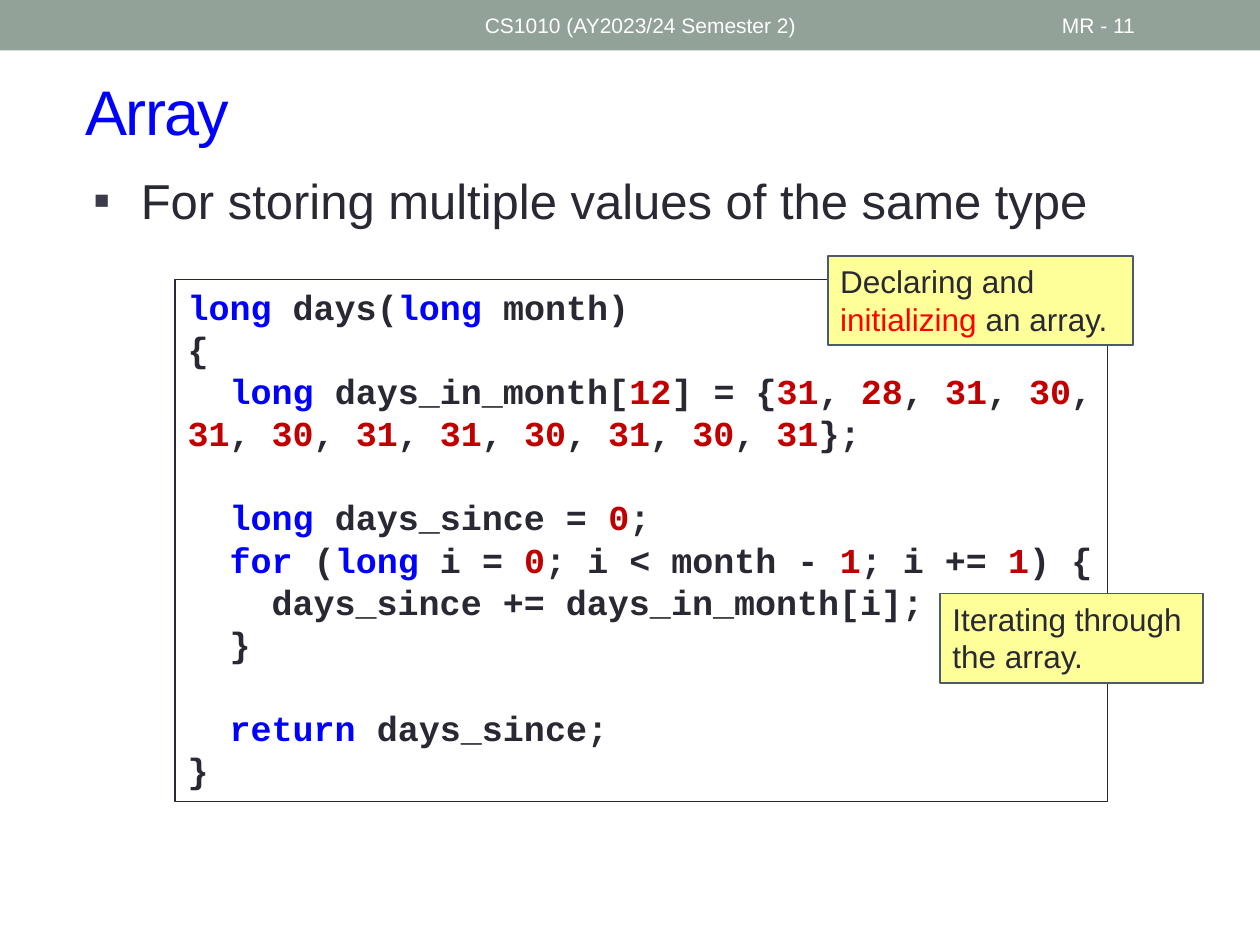
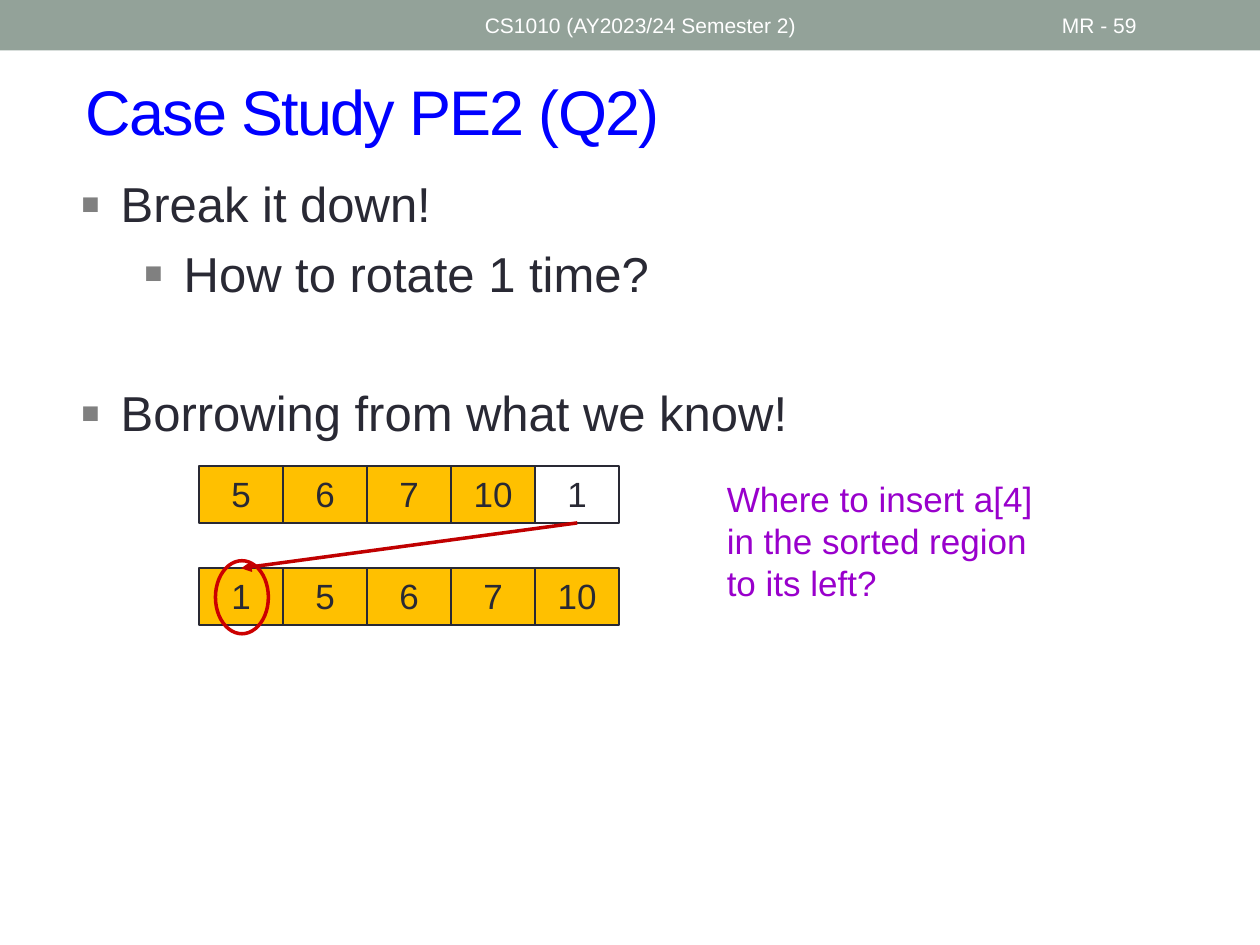
from itertools import groupby

from lxml.etree import SubElement
from pptx import Presentation
from pptx.dml.color import RGBColor
from pptx.enum.shapes import MSO_CONNECTOR, MSO_SHAPE
from pptx.enum.text import MSO_ANCHOR, PP_ALIGN
from pptx.oxml.ns import qn
from pptx.util import Emu, Inches, Pt

COLORS = {
    "band": "93A299", "white": "FFFFFF", "title": "0000FF", "ink": "292934",
    "keyword": "0000FF", "number": "C00000", "note": "FFFF99",
    "note_edge": "4C5A6A", "emphasis": "FF0000", "sorted": "FFC000",
    "ring": "CC0000", "arrow": "C00000", "question": "9900CC",
    "dark_bullet": "3B3B4B", "grey_bullet": "808080",
}
WIDTH, HEIGHT = Inches(10), Inches(7.5)
COLUMN, ROW = WIDTH / 100, HEIGHT / 75
KEYWORDS = {"long", "for", "return"}
CELL_WIDTH, CELL_HEIGHT, CELLS_LEFT = 6.67, 4.5, 15.8
DAYS_CODE = """long days(long month)
{
  long days_in_month[12] = {31, 28, 31, 30, 31, 30, 31, 31, 30, 31, 30, 31};

  long days_since = 0;
  for (long i = 0; i < month - 1; i += 1) {
    days_since += days_in_month[i];
  }

  return days_since;
}"""


def rgb(name):
    return RGBColor.from_string(COLORS[name])


def place(left, top, width, height):
    return (Emu(round(left * COLUMN)), Emu(round(top * ROW)),
            Emu(round(width * COLUMN)), Emu(round(height * ROW)))


def set_font(font, size, color, name="Arial", bold=False):
    font.size, font.name, font.bold = Pt(size), name, bold
    font.color.rgb = rgb(color)


def add_box(shapes, area, fill=None, edge=None, weight=1, kind=MSO_SHAPE.RECTANGLE):
    box = shapes.add_shape(kind, *place(*area))
    box.shadow.inherit = False
    if fill:
        box.fill.solid()
        box.fill.fore_color.rgb = rgb(fill)
    else:
        box.fill.background()
    if edge:
        box.line.color.rgb = rgb(edge)
        box.line.width = Pt(weight)
    else:
        box.line.fill.background()
    box.text_frame.word_wrap = True
    box.text_frame.vertical_anchor = MSO_ANCHOR.TOP
    return box


def add_text(slide, area, text, size, color, anchor=MSO_ANCHOR.TOP):
    frame = slide.shapes.add_textbox(*place(*area)).text_frame
    frame.word_wrap = True
    frame.vertical_anchor = anchor
    paragraph = frame.paragraphs[0]
    paragraph.text = text
    set_font(paragraph.font, size, color)
    return paragraph


def add_bullets(slide, area, items, indent, bullet_color, bullet_size=100):
    frame = slide.shapes.add_textbox(*place(*area)).text_frame
    frame.word_wrap = True
    for index, (text, level, gap) in enumerate(items):
        paragraph = frame.add_paragraph() if index else frame.paragraphs[0]
        paragraph.text = text
        paragraph.level = level
        paragraph.space_before = Pt(gap)
        properties = paragraph._p.get_or_add_pPr()
        properties.set("marL", str(Inches(indent + level * 0.5)))
        properties.set("indent", str(-Inches(indent)))
        color = SubElement(properties, qn("a:buClr"))
        SubElement(color, qn("a:srgbClr"), val=COLORS[bullet_color])
        SubElement(properties, qn("a:buSzPct"), val=str(bullet_size * 1000))
        SubElement(properties, qn("a:buFont"), typeface="Arial")
        SubElement(properties, qn("a:buChar"), char="▪")
        set_font(paragraph.font, 28, "ink")


def token_color(token):
    if token in KEYWORDS:
        return "keyword"
    return "number" if token.isdigit() else "ink"


def add_code(slide, area, code):
    frame = add_box(slide.shapes, area, edge="ink", weight=0.75).text_frame
    paragraph, gap = frame.paragraphs[0], 0
    for line in code.splitlines():
        if not line:
            gap = 24
            continue
        if paragraph.runs:
            paragraph = frame.add_paragraph()
        paragraph.alignment = PP_ALIGN.LEFT
        paragraph.space_before = Pt(gap)
        gap = 0
        set_font(paragraph.font, 20, "ink", "Courier New", True)
        tokens = groupby(line, lambda char: char.isalnum() or char == "_")
        for _, chars in tokens:
            run = paragraph.add_run()
            run.text = "".join(chars)
            set_font(run.font, 20, token_color(run.text), "Courier New", True)


def add_note(slide, area, parts):
    note = add_box(slide.shapes, area, "note", "note_edge")
    paragraph = note.text_frame.paragraphs[0]
    paragraph.alignment = PP_ALIGN.LEFT
    set_font(paragraph.font, 18, "ink")
    for text, color in parts:
        run = paragraph.add_run()
        run.text = text
        set_font(run.font, 18, color)


def add_array(slide, top, values, sorted_count):
    cells = slide.shapes.add_group_shape().shapes
    for index, value in enumerate(values):
        area = (CELLS_LEFT + index * CELL_WIDTH, top, CELL_WIDTH, CELL_HEIGHT)
        fill = "sorted" if index < sorted_count else None
        paragraph = add_box(cells, area, fill, "ink").text_frame.paragraphs[0]
        paragraph.text = str(value)
        paragraph.alignment = PP_ALIGN.CENTER
        set_font(paragraph.font, 20, "ink")


def add_arrow(slide, start, end):
    x1, y1, x2, y2 = place(*start, *end)
    arrow = slide.shapes.add_connector(MSO_CONNECTOR.STRAIGHT, x1, y1, x2, y2)
    arrow.line.color.rgb = rgb("arrow")
    arrow.line.width = Pt(2)
    SubElement(arrow.line._get_or_add_ln(), qn("a:tailEnd"), type="triangle")
    SubElement(arrow._element.spPr, qn("a:effectLst"))


def add_lecture_slide(deck, title, number):
    slide = deck.slides.add_slide(deck.slide_layouts[6])
    add_box(slide.shapes, (0, 0, 100, 4), "band")
    middle = MSO_ANCHOR.MIDDLE
    heading = add_text(slide, (5.8, 5, 89.2, 7.5), title, 36, "title", middle)
    heading.runs[0]._r.get_or_add_rPr().set("spc", "-100")
    add_text(slide, (37.5, 0.2, 45, 3.6), "CS1010 (AY2023/24 Semester 2)", 12, "white", middle)
    add_text(slide, (83.3, 0.2, 11.7, 3.6), f"MR - {number}", 12, "white", middle)
    return slide


def build_array_slide(deck):
    slide = add_lecture_slide(deck, "Array", 11)
    add_bullets(slide, (6.4, 13, 90.7, 57.8),
                [("For storing multiple values of the same type", 0, 0)],
                0.38, "dark_bullet")
    add_code(slide, (13.9, 22.2, 74, 41.4), DAYS_CODE)
    add_note(slide, (65.7, 20.3, 24.2, 7.1),
             [("Declaring and ", "ink"), ("initializing", "emphasis"), (" an array.", "ink")])
    add_note(slide, (74.6, 47.1, 20.9, 7.1), [("Iterating through the array.", "ink")])


def build_case_study_slide(deck):
    slide = add_lecture_slide(deck, "Case Study PE2 (Q2)", 59)
    add_bullets(slide, (5.4, 13.3, 88.7, 50.8),
                [("Break it down!", 0, 0),
                 ("How to rotate 1 time?", 1, 6),
                 ("Borrowing from what we know!", 0, 46)],
                0.32, "grey_bullet", 120)
    before_top, after_top = 37, 45.1
    add_array(slide, after_top, [1, 5, 6, 7, 10], 5)
    add_array(slide, before_top, [5, 6, 7, 10, 1], 4)
    add_box(slide.shapes, (17.1, 44.5, 4.2, 5.8), None, "ring", 2, MSO_SHAPE.OVAL)
    add_text(slide, (56.7, 37.4, 26.7, 11),
             "Where to insert a[4] in the sorted region to its left?", 20, "question")
    add_arrow(slide, (CELLS_LEFT + 4.5 * CELL_WIDTH, before_top + CELL_HEIGHT),
              (CELLS_LEFT + 0.5 * CELL_WIDTH, after_top))


def main():
    deck = Presentation()
    deck.slide_width, deck.slide_height = WIDTH, HEIGHT
    build_array_slide(deck)
    build_case_study_slide(deck)
    deck.save("out.pptx")


if __name__ == "__main__":
    main()
